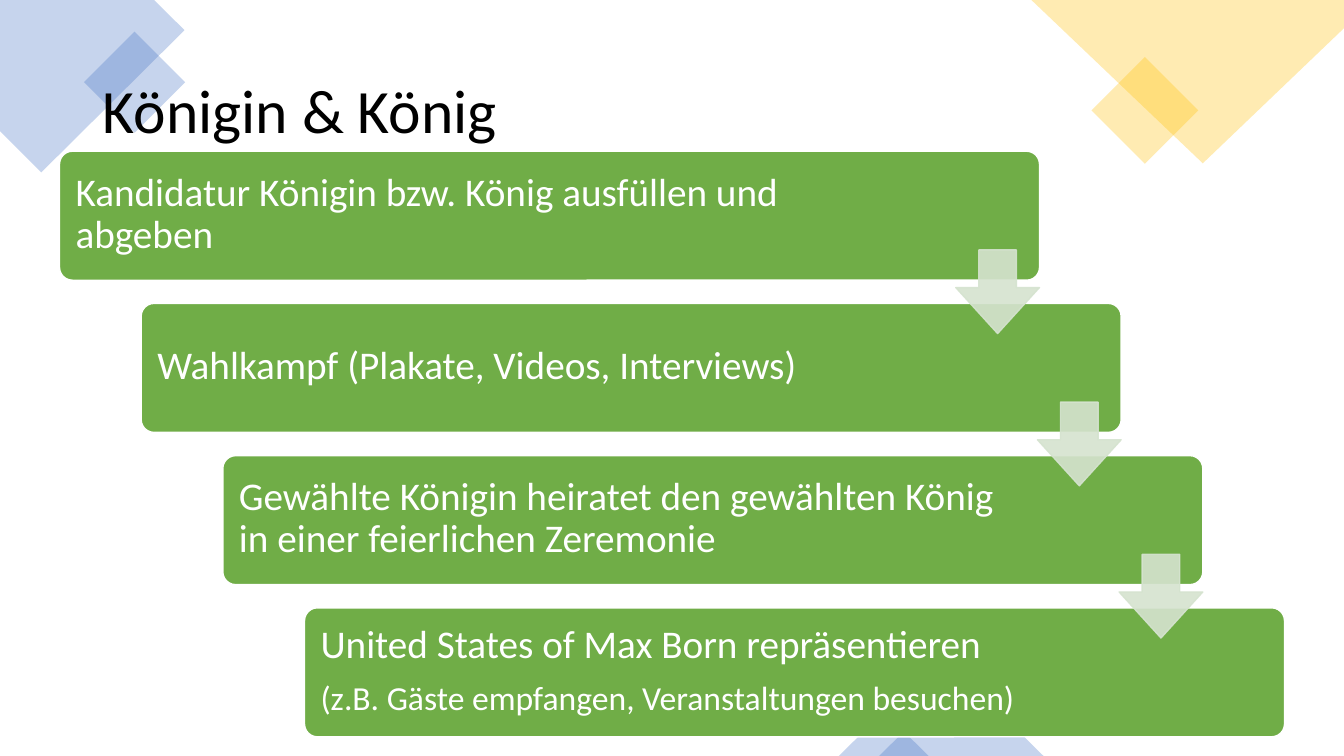
"""Build the slide on how queen and king are chosen, as a staircase of four steps."""
from lxml.etree import SubElement
from pptx import Presentation
from pptx.dml.color import RGBColor
from pptx.enum.shapes import MSO_SHAPE
from pptx.enum.text import MSO_ANCHOR, MSO_AUTO_SIZE, PP_ALIGN
from pptx.oxml.ns import qn
from pptx.util import Inches, Pt

BLUE = RGBColor(0x44, 0x72, 0xC4)
GOLD = RGBColor(0xFF, 0xC0, 0x00)
GREEN = RGBColor(0x70, 0xAD, 0x47)
PALE_GREEN = RGBColor(0xD5, 0xE3, 0xCF)
WHITE = RGBColor(0xFF, 0xFF, 0xFF)
BLACK = RGBColor(0x00, 0x00, 0x00)

STEP_RIGHT, STEP_DOWN = 0.81, 1.51
STEPS = [
    (8.23, [("Kandidatur Königin bzw. König ausfüllen und abgeben", 28)]),
    (8, [("Wahlkampf (Plakate, Videos, Interviews)", 28)]),
    (8, [("Gewählte Königin heiratet den gewählten König in einer feierlichen Zeremonie", 28)]),
    (8, [("United States of Max Born repräsentieren", 28),
         ("(z.B. Gäste empfangen, Veranstaltungen besuchen)", 24)]),
]
CORNERS = [
    (BLUE, [(1.53, 0), (0, 0), (0, 1.3), (0.41, 1.71), (1.83, 0.3)]),
    (GOLD, [(13.33, 0), (10.23, 0), (11.93, 1.62), (13.33, 0.28)]),
]
ORNAMENTS = [
    (MSO_SHAPE.RECTANGLE, (0.98, 0.46, 0.71, 0.71), BLUE, 315),
    (MSO_SHAPE.RECTANGLE, (10.98, 0.72, 0.75, 0.75), GOLD, 315),
    (MSO_SHAPE.ISOSCELES_TRIANGLE, (8.72, 6.69, 1.63, 0.81), BLUE, 0),
    (MSO_SHAPE.ISOSCELES_TRIANGLE, (8.32, 7.06, 0.89, 0.44), BLUE, 0),
]


def set_format(target, values):
    """Set each named attribute of the target."""
    for name, value in values.items():
        setattr(target, name, value)


def paint(shape, color, opacity=100, line_color=None):
    """Give a shape its fill and outline, both with the same opacity."""
    shape.shadow.inherit = False
    shape.fill.solid()
    shape.fill.fore_color.rgb = color
    if line_color is None:
        shape.line.fill.background()
    else:
        shape.line.color.rgb = line_color
        shape.line.width = Pt(1)
    if opacity < 100:
        for color_element in shape.element.spPr.iter(qn("a:srgbClr")):
            SubElement(color_element, qn("a:alpha"), val=str(opacity * 1000))


def add_preset(page, kind, frame, adjustments=()):
    """Add a preset shape with its adjustments."""
    shape = page.shapes.add_shape(kind, *map(Inches, frame))
    for index, value in enumerate(adjustments):
        shape.adjustments[index] = value
    return shape


def add_corner(page, color, points):
    """Add a translucent polygon in a corner of the page."""
    corners = [(Inches(x), Inches(y)) for x, y in points]
    builder = page.shapes.build_freeform(*corners[0])
    builder.add_line_segments(corners[1:])
    paint(builder.convert_to_shape(), color, 30)


def write(box, lines, color, margin):
    """Fill a box with left-aligned lines, centred in height."""
    frame = box.text_frame
    set_format(frame, {"word_wrap": True, "auto_size": MSO_AUTO_SIZE.NONE,
                       "vertical_anchor": MSO_ANCHOR.MIDDLE})
    set_format(frame, {f"margin_{side}": Inches(margin)
                       for side in ("left", "right", "top", "bottom")})
    for index, (text, size) in enumerate(lines):
        para = frame.add_paragraph() if index else frame.paragraphs[0]
        set_format(para, {"alignment": PP_ALIGN.LEFT, "line_spacing": 0.9,
                          "space_before": Pt(10 if index else 0)})
        span = para.add_run()
        span.text = text
        set_format(span.font, {"name": "Calibri", "size": Pt(size)})
        span.font.color.rgb = color


def add_title(page, text):
    """Move the title placeholder above the ornaments and fill it."""
    title = page.shapes.title
    page.shapes._spTree.append(title.element)
    set_format(title, {"left": Inches(0.92), "top": Inches(0.4),
                       "width": Inches(11.5), "height": Inches(1.45)})
    write(title, [(text, 44)], BLACK, 0.1)


def add_step(page, index, text_width, lines):
    """Add one stair with its text."""
    left, top = 0.59 + index * STEP_RIGHT, 1.5 + index * STEP_DOWN
    stair = add_preset(page, MSO_SHAPE.ROUNDED_RECTANGLE, (left, top, 9.72, 1.28), [0.1])
    paint(stair, GREEN, line_color=WHITE)
    label = page.shapes.add_textbox(*map(Inches, (left + 0.04, top + 0.03, text_width, 1.2)))
    write(label, lines, WHITE, 0.12)


def add_step_arrow(page, index):
    """Add the arrow that leads from a stair to the next one."""
    frame = (9.48 + index * STEP_RIGHT, 2.48 + index * STEP_DOWN, 0.83, 0.83)
    arrow = add_preset(page, MSO_SHAPE.DOWN_ARROW, frame, [0.45, 0.55])
    paint(arrow, PALE_GREEN, 90, PALE_GREEN)


def main():
    """Build and save the deck."""
    deck = Presentation()
    set_format(deck, {"slide_width": Inches(13.33), "slide_height": Inches(7.5)})
    page = deck.slides.add_slide(deck.slide_layouts[5])
    for color, points in CORNERS:
        add_corner(page, color, points)
    for kind, frame, color, rotation in ORNAMENTS:
        ornament = add_preset(page, kind, frame)
        ornament.rotation = rotation
        paint(ornament, color, 30)
    add_title(page, "Königin & König")
    for index, (text_width, lines) in enumerate(STEPS):
        add_step(page, index, text_width, lines)
    for index in range(len(STEPS) - 1):
        add_step_arrow(page, index)
    deck.save("out.pptx")


if __name__ == "__main__":
    main()
